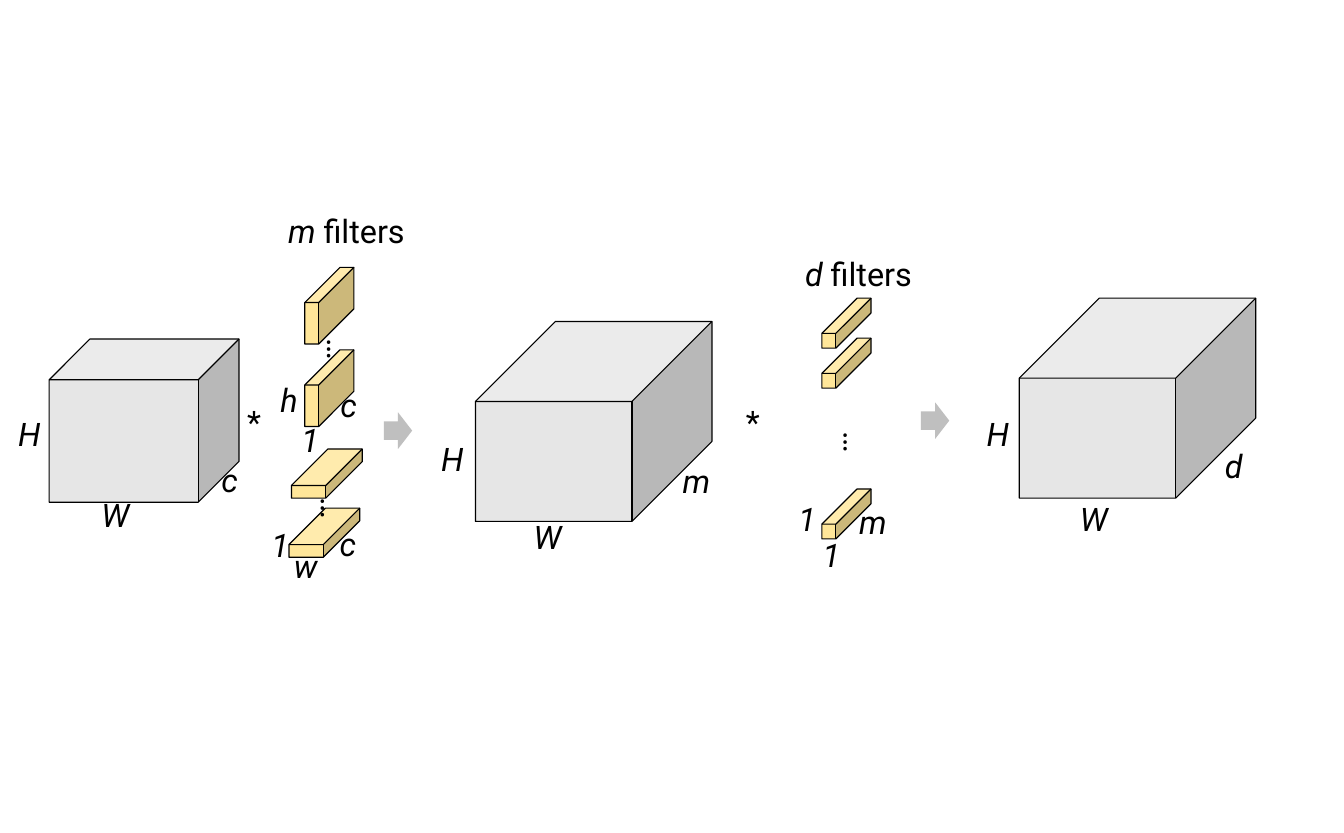
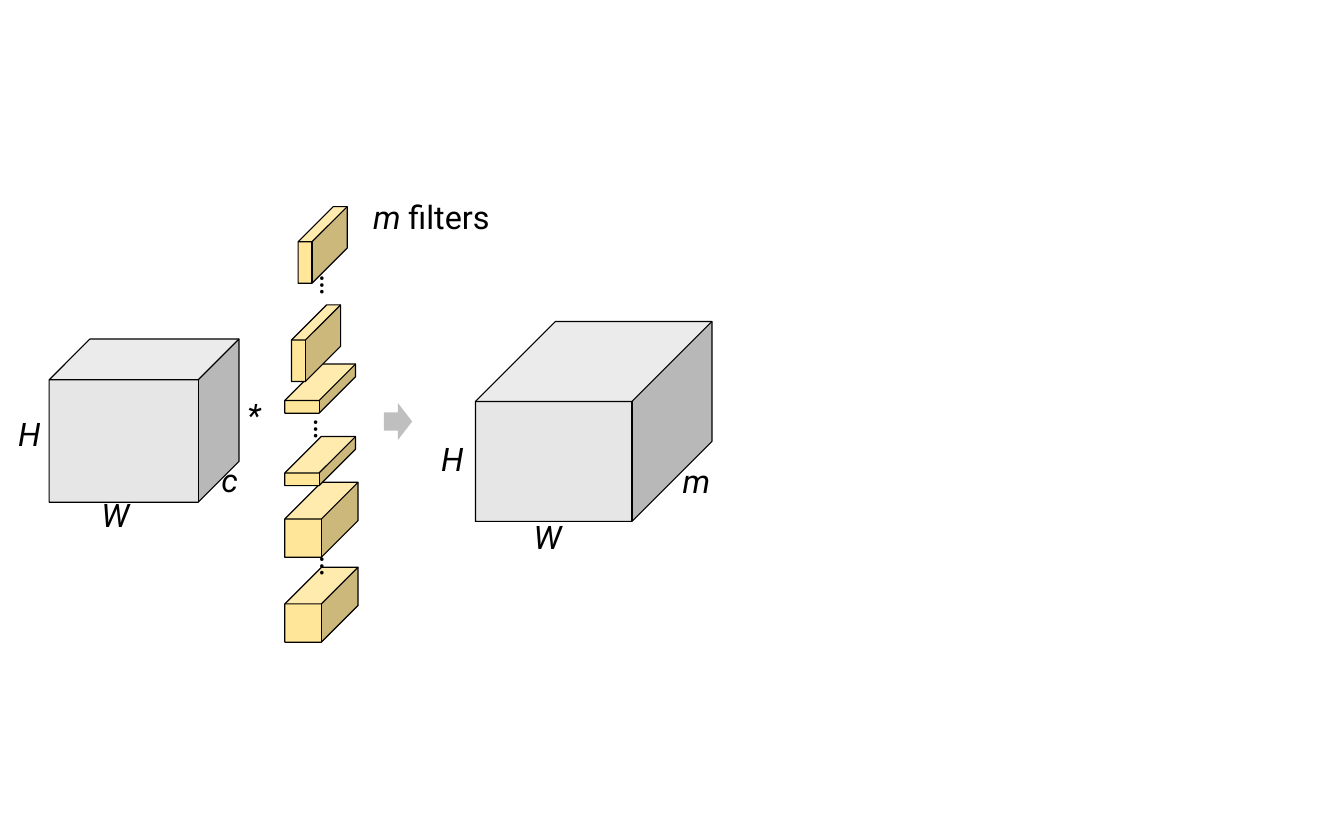
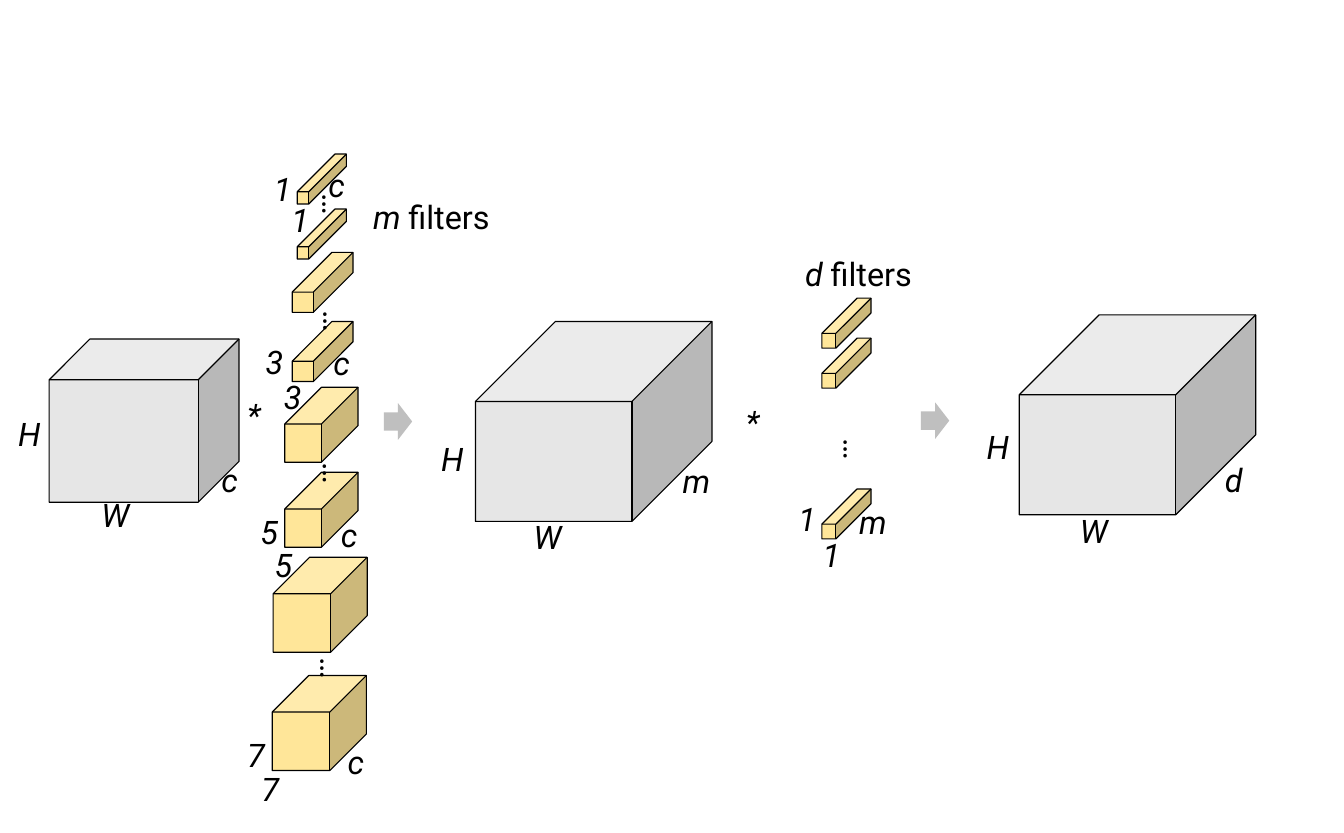
from dataclasses import dataclass
from typing import Any

from pptx import Presentation
from pptx.dml.color import RGBColor
from pptx.enum.shapes import MSO_SHAPE
from pptx.enum.text import MSO_AUTO_SIZE, PP_ALIGN
from pptx.util import Inches, Pt

# Shared look
BLACK = RGBColor(0x00, 0x00, 0x00)
WHITE = RGBColor(0xFF, 0xFF, 0xFF)
VOLUME_GREY = RGBColor(0xE6, 0xE6, 0xE6)
FILTER_YELLOW = RGBColor(0xFF, 0xE6, 0x99)
ARROW_GREY = RGBColor(0xBF, 0xBF, 0xBF)
FONT = "Roboto"
TEXT_SIZE = Pt(28)
LABEL_WIDTH, LINE_HEIGHT = 1.35, 0.57


@dataclass(frozen=True)
class Block:
    """Size, depth and colour of a cuboid."""
    width: float
    height: float
    depth: float
    color: RGBColor = FILTER_YELLOW


@dataclass(frozen=True)
class Label:
    text: str
    left: float
    top: float
    width: float = LABEL_WIDTH


@dataclass(frozen=True)
class Dots:
    """Vertical ellipsis, given by its box before rotation."""
    left: float
    top: float
    width: float = 0.56


@dataclass(frozen=True)
class FilterBank:
    """Equal filters at (left, top) places, from back to front."""
    block: Block
    places: tuple[tuple[float, float], ...]
    dots: Dots | None = None
    labels: tuple[Label, ...] = ()


@dataclass(frozen=True)
class Volume:
    block: Block
    left: float
    top: float
    labels: tuple[Label, ...]


# Block kinds
INPUT_BLOCK = Block(2.28, 1.96, 0.25, VOLUME_GREY)
DEEP_BLOCK = Block(2.84, 2.4, 0.4, VOLUME_GREY)
TALL = Block(0.59, 0.92, 0.716)
WIDE = Block(0.85, 0.59, 0.742)
POINTWISE = Block(0.59, 0.6, 0.716)
SIZE_1 = Block(0.59, 0.6, 0.767)
SIZE_3 = Block(0.73, 0.72, 0.662)
SIZE_5 = Block(0.88, 0.9, 0.501)
SIZE_7 = Block(1.13, 1.14, 0.388)

# Feature volumes
INPUT = Volume(INPUT_BLOCK, 0.59, 4.07, (
    Label("W", 1.12, 5.9), Label("H", 0.12, 4.92), Label("c", 2.56, 5.47)))
HIDDEN = Volume(DEEP_BLOCK, 5.71, 3.86, (
    Label("H", 5.2, 5.22), Label("W", 6.31, 6.16), Label("m", 8.1, 5.49)))


def add_block(shapes: Any, block: Block, left: float, top: float) -> None:
    cube = shapes.add_shape(MSO_SHAPE.CUBE, Inches(left), Inches(top),
                            Inches(block.width), Inches(block.height))
    cube.adjustments[0] = block.depth
    cube.shadow.inherit = False
    cube.fill.solid()
    cube.fill.fore_color.rgb = block.color
    cube.line.color.rgb = BLACK
    cube.line.width = Pt(1)


def add_text(shapes: Any, runs: list[tuple[str, bool]], left: float, top: float,
             width: float, align: PP_ALIGN = PP_ALIGN.LEFT, rotation: float = 0) -> None:
    """Write runs given as (text, italic)."""
    box = shapes.add_textbox(Inches(left), Inches(top), Inches(width), Inches(LINE_HEIGHT))
    box.rotation = rotation
    frame = box.text_frame
    frame.word_wrap = True
    frame.auto_size = MSO_AUTO_SIZE.SHAPE_TO_FIT_TEXT
    paragraph = frame.paragraphs[0]
    paragraph.alignment = align
    for text, italic in runs:
        run = paragraph.add_run()
        run.text = text
        run.font.name = FONT
        run.font.size = TEXT_SIZE
        run.font.italic = italic
        run.font.color.rgb = BLACK


def add_labels(shapes: Any, labels: tuple[Label, ...]) -> None:
    for label in labels:
        add_text(shapes, [(label.text, True)], label.left, label.top, label.width)


def add_dots(shapes: Any, dots: Dots) -> None:
    add_text(shapes, [("…", False)], dots.left, dots.top, dots.width, rotation=90)


def add_heading(shapes: Any, count: str, left: float, top: float,
                align: PP_ALIGN = PP_ALIGN.LEFT) -> None:
    add_text(shapes, [(f"{count} ", True), ("filters", False)], left, top, 3.36, align)


def add_star(shapes: Any, left: float, top: float, width: float, italic: bool) -> None:
    add_text(shapes, [("*", italic)], left, top, width)


def add_arrow(shapes: Any, left: float, top: float) -> None:
    arrow = shapes.add_shape(MSO_SHAPE.RIGHT_ARROW, Inches(left), Inches(top),
                             Inches(0.34), Inches(0.44))
    arrow.shadow.inherit = False
    arrow.fill.solid()
    arrow.fill.fore_color.rgb = ARROW_GREY
    arrow.line.fill.background()


def add_volume(shapes: Any, volume: Volume) -> None:
    add_block(shapes, volume.block, volume.left, volume.top)
    add_labels(shapes, volume.labels)


def add_bank(shapes: Any, bank: FilterBank) -> None:
    for left, top in bank.places:
        add_block(shapes, bank.block, left, top)
    if bank.dots:
        add_dots(shapes, bank.dots)


def add_first_stage(shapes: Any, banks: tuple[FilterBank, ...], heading: tuple[float, float],
                    star_top: float, arrow_top: float, star_italic: bool = True,
                    grouped: bool = False) -> None:
    """Input volume, m filters and the hidden volume."""
    add_volume(shapes, INPUT)
    add_volume(shapes, HIDDEN)
    add_arrow(shapes, 4.61, arrow_top)
    add_heading(shapes, "m", *heading, PP_ALIGN.CENTER)
    add_star(shapes, 2.87, star_top, 0.47, star_italic)
    for bank in banks:
        add_bank(shapes.add_group_shape().shapes if grouped else shapes, bank)
    for bank in banks:
        add_labels(shapes, bank.labels)


def add_second_stage(shapes: Any, output: Volume, dots_top: float, star_italic: bool) -> None:
    """The d pointwise filters and the output volume."""
    bank = FilterBank(POINTWISE, ((9.87, 3.58), (9.87, 4.06), (9.87, 5.87)),
                      Dots(9.88, dots_top, 0.81))
    add_star(shapes, 8.86, 4.78, 0.79, star_italic)
    add_heading(shapes, "d", 9.57, 3)
    add_bank(shapes, bank)
    add_labels(shapes, (Label("1", 9.49, 5.94), Label("1", 9.78, 6.37), Label("m", 10.22, 5.98)))
    add_arrow(shapes, 11.06, 4.83)
    add_volume(shapes, output)


def add_slide(deck: Any) -> Any:
    """Add a white slide without placeholders and return its shapes."""
    slide = deck.slides.add_slide(deck.slide_layouts[6])
    slide.background.fill.solid()
    slide.background.fill.fore_color.rgb = WHITE
    return slide.shapes


deck = Presentation()
deck.slide_width, deck.slide_height = Inches(16.14), Inches(10)

# Slide 1: tall and wide filters, then pointwise filters
separable = add_slide(deck)
add_first_stage(separable, (
    FilterBank(WIDE, ((3.47, 6.1), (3.5, 5.39)), Dots(3.6, 5.99, 0.81), (
        Label("c", 3.98, 6.24), Label("w", 3.43, 6.51, 0.47), Label("1", 3.16, 6.25, 0.47))),
    FilterBank(TALL, ((3.66, 4.2), (3.66, 3.21)), Dots(3.8, 3.96), (
        Label("1", 3.52, 5, 0.31), Label("h", 3.27, 4.52, 0.47), Label("c", 3.99, 4.58))),
), heading=(2.48, 2.48), star_top=4.78, arrow_top=4.95, star_italic=False)
add_second_stage(separable, Volume(DEEP_BLOCK, 12.24, 3.58, (
    Label("d", 14.61, 5.31), Label("H", 11.75, 4.92), Label("W", 12.87, 5.94))),
    dots_top=5.2, star_italic=False)

# Slide 2: three filter forms in one stage
mixed_forms = add_slide(deck)
add_first_stage(mixed_forms, (
    FilterBank(SIZE_5, ((3.42, 5.79), (3.42, 6.81)), Dots(3.72, 6.57)),
    FilterBank(WIDE, ((3.42, 5.24), (3.42, 4.37)), Dots(3.52, 5.04, 0.81)),
    FilterBank(TALL, ((3.58, 2.48), (3.5, 3.66)), Dots(3.72, 3.19)),
), heading=(3.5, 2.32), star_top=4.69, arrow_top=4.84)

# Slide 3: filters of four sizes, then pointwise filters
mixed_sizes = add_slide(deck)
add_first_stage(mixed_sizes, (
    FilterBank(SIZE_5, ((3.42, 4.65), (3.42, 5.67)), Dots(3.75, 5.45), (
        Label(" c", 3.9, 6.13), Label("5", 3.2, 6.5), Label("5", 3.03, 6.1))),
    FilterBank(SIZE_3, ((3.51, 3.86), (3.51, 3.03)), Dots(3.85, 3.53, 0.37), (
        Label("3", 3.31, 4.48), Label(" c", 3.81, 4.07), Label("3", 3.09, 4.06))),
    FilterBank(SIZE_7, ((3.27, 8.11), (3.28, 6.69)), Dots(3.72, 7.79), (
        Label("7", 3.04, 9.18), Label(" c", 3.98, 8.86), Label("7", 2.87, 8.78))),
    FilterBank(SIZE_1, ((3.57, 2.51), (3.57, 1.85)), Dots(3.84, 2.13, 0.37), (
        Label("1", 3.4, 2.35), Label(" c", 3.75, 1.93), Label("1", 3.19, 1.98))),
), heading=(3.5, 2.32), star_top=4.69, arrow_top=4.84, grouped=True)
add_second_stage(mixed_sizes, Volume(DEEP_BLOCK, 12.24, 3.78, (
    Label("d", 14.61, 5.48), Label("H", 11.75, 5.08), Label("W", 12.87, 6.09))),
    dots_top=5.28, star_italic=True)

deck.save("out.pptx")
